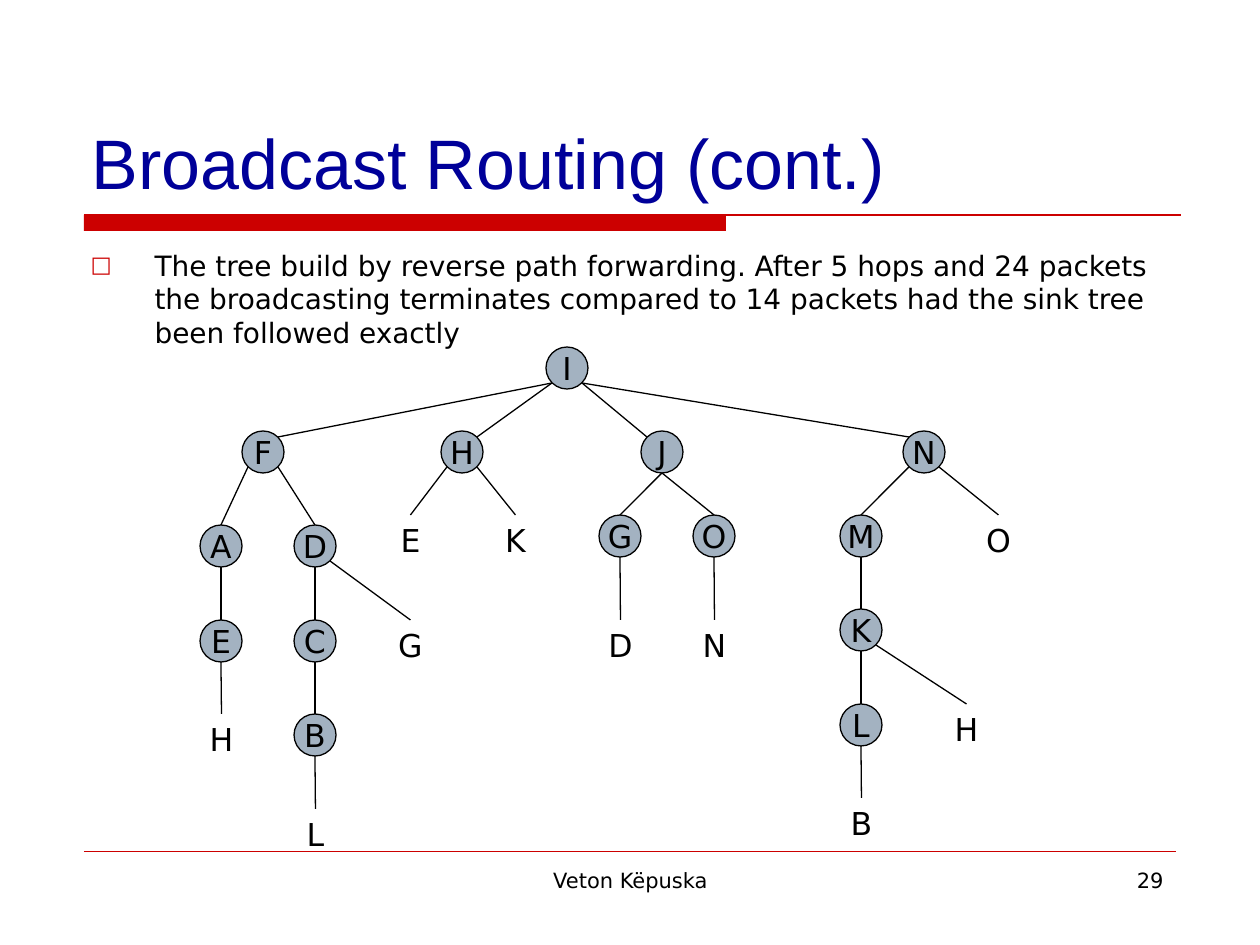
from lxml import etree
from pptx import Presentation
from pptx.dml.color import RGBColor
from pptx.enum import shapes, text
from pptx.oxml import ns
from pptx.util import Pt

NAVY = RGBColor(0x00, 0x00, 0x99)
RED = RGBColor(0xCC, 0x00, 0x00)
BLACK = RGBColor(0x00, 0x00, 0x00)
STEEL = RGBColor(0xA3, 0xB2, 0xC1)

TITLE = "Broadcast Routing (cont.)"
POINT = ("The tree build by reverse path forwarding. After 5 hops and 24 packets "
         "the broadcasting terminates compared to 14 packets had the sink tree "
         "been followed exactly")

# Each node: letter, centre x, top y, children. Nodes without children are plain letters.
TREE = ("I", 567, 347, [
    ("F", 263, 431, [
        ("A", 221, 525, [("E", 221, 620, [("H", 221, 714, [])])]),
        ("D", 315, 525, [
            ("C", 315, 620, [("B", 315, 714, [("L", 315, 809, [])])]),
            ("G", 410, 620, [])])]),
    ("H", 462, 431, [("E", 410, 515, []), ("K", 515, 515, [])]),
    ("J", 662, 431, [
        ("G", 620, 515, [("D", 620, 620, [])]),
        ("O", 714, 515, [("N", 714, 620, [])])]),
    ("N", 924, 431, [
        ("M", 861, 515, [
            ("K", 861, 609, [
                ("L", 861, 704, [("B", 861, 798, [])]),
                ("H", 966, 704, [])])]),
        ("O", 998, 515, [])])])
STEMS = {"J"}  # nodes whose edges all leave from the bottom middle

FOOTERS = [
    ("Veton Këpuska", (431, 861, 399, 66), text.PP_ALIGN.CENTER),
    ("29", (903, 861, 273, 66), text.PP_ALIGN.RIGHT),
]

SCALE = 914400 // 126
SIZE = 42           # circle diameter
NOOK = 15           # centre to diagonal point of a circle
LEAF = (63, 50)     # letter box


def px(*vals):
    return [v * SCALE for v in vals]


def place(shape, box):
    shape.left, shape.top, shape.width, shape.height = px(*box)


def write(shape, words, size, color=BLACK, face="DejaVu Sans",
          align=text.PP_ALIGN.LEFT, anchor=text.MSO_ANCHOR.TOP, wrap=True):
    frame = shape.text_frame
    look = {"word_wrap": wrap, "vertical_anchor": anchor,
            "auto_size": text.MSO_AUTO_SIZE.NONE}
    for key, val in look.items():
        setattr(frame, key, val)
    para = frame.paragraphs[0]
    para.alignment, para.space_before = align, Pt(0)
    run = para.add_run()
    run.text = words
    for key, val in {"name": face, "size": Pt(size)}.items():
        setattr(run.font, key, val)
    run.font.color.rgb = color
    return para


def bullet(para, char, color):
    props = para._p.get_or_add_pPr()
    props.set("marL", str(64 * SCALE))
    props.set("indent", str(-64 * SCALE))

    def add(parent, tag, **attrs):
        return etree.SubElement(parent, ns.qn(tag), **attrs)
    add(add(props, "a:buClr"), "a:srgbClr", val=str(color))
    add(props, "a:buSzPct", val="80000")
    add(props, "a:buFont", typeface="DejaVu Sans")
    add(props, "a:buChar", char=char)


def line(slide, start, end, color=BLACK, width=0.75):
    link = slide.shapes.add_connector(
        shapes.MSO_CONNECTOR.STRAIGHT, *px(*start, *end))
    link.line.color.rgb, link.line.width = color, Pt(width)
    etree.SubElement(link._element.spPr, ns.qn("a:effectLst"))
    return link


def node(slide, letter, mid, top, leaf):
    if leaf:
        wide, high = LEAF
        box = px(mid - wide // 2, top, wide, high)
        shape = slide.shapes.add_textbox(*box)
        write(shape, letter, 18, align=text.PP_ALIGN.CENTER)
        return shape
    shape = slide.shapes.add_shape(
        shapes.MSO_SHAPE.OVAL, *px(mid - SIZE // 2, top, SIZE, SIZE))
    shape.shadow.inherit = False
    shape.fill.solid()
    shape.fill.fore_color.rgb = STEEL
    shape.line.color.rgb, shape.line.width = BLACK, Pt(0.75)
    write(shape, letter, 18, align=text.PP_ALIGN.CENTER,
          anchor=text.MSO_ANCHOR.MIDDLE, wrap=False)
    return shape


def grow(slide, tree, root=True):
    """Draw a node, its subtrees and the edges to them."""
    letter, mid, top, kids = tree
    shape = node(slide, letter, mid, top, not kids)
    half = SIZE // 2
    for kid in kids:
        goal = grow(slide, kid, False)
        side = (kid[1] > mid) - (kid[1] < mid)
        if side == 0 or letter in STEMS:
            start = (mid, top + SIZE)
        else:
            start = (mid + side * NOOK, top + half + NOOK)
        if root:
            line(slide, start, (kid[1] - side * NOOK, kid[2] + half - NOOK))
        else:
            line(slide, start, kid[1:3]).end_connect(goal, 0)
    return shape


def rules(slide):
    bar = slide.shapes.add_shape(
        shapes.MSO_SHAPE.RECTANGLE, *px(84, 215, 642, 16))
    bar.shadow.inherit = False
    bar.fill.solid()
    bar.fill.fore_color.rgb = RED
    bar.line.fill.background()
    line(slide, (84, 215), (1181, 215), RED)
    line(slide, (84, 851), (1176, 851), RED, 0.25)


def main():
    deck = Presentation()
    deck.slide_width, deck.slide_height = px(1260, 945)
    slide = deck.slides.add_slide(deck.slide_layouts[1])
    rules(slide)
    for words, box, align in FOOTERS:
        write(slide.shapes.add_textbox(*px(*box)), words, 12, align=align)
    title, body = slide.placeholders
    place(title, (79, 42, 1103, 168))
    write(title, TITLE, 40, NAVY, "Arial", anchor=text.MSO_ANCHOR.BOTTOM)
    place(body, (78, 242, 1103, 588))
    bullet(write(body, POINT, 16), "□", RED)
    grow(slide, TREE)
    deck.save("out.pptx")


if __name__ == "__main__":
    main()
